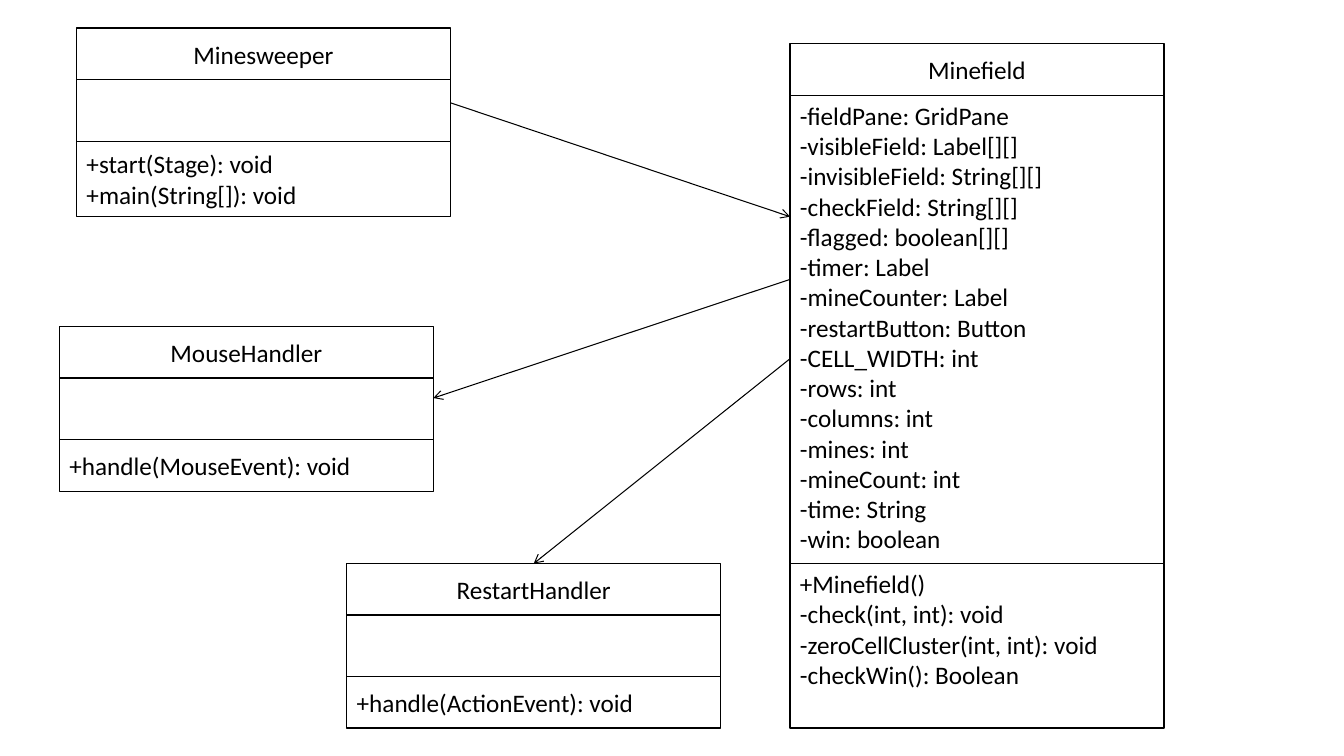
from lxml.etree import SubElement
from pptx import Presentation
from pptx.dml.color import RGBColor
from pptx.enum.shapes import MSO_CONNECTOR as Connector, MSO_SHAPE as Shape
from pptx.enum.text import MSO_ANCHOR as Anchor, PP_ALIGN as Align
from pptx.oxml.ns import qn
from pptx.util import Cm, Pt

COLORS = {"ink": "000000"}
BOX_WIDTH = 9.42
NAME_HEIGHT = 1.3
EMPTY_HEIGHT = 1.55


class ClassDiagram:
    """Draws UML classes and associations on one slide, in centimetres."""

    font_name = "Calibri"
    font_size = Pt(18)
    ink = RGBColor.from_string(COLORS["ink"])

    def __init__(self, slide):
        self.shapes = slide.shapes

    def compartment(self, left, top, height, lines, align=Align.LEFT, anchor=Anchor.MIDDLE):
        box = self.shapes.add_shape(
            Shape.FLOWCHART_PROCESS, Cm(left), Cm(top), Cm(BOX_WIDTH), Cm(height))
        box.shadow.inherit = False
        box.fill.background()
        box.line.color.rgb = self.ink
        box.line.width = Pt(1)
        frame = box.text_frame
        frame.word_wrap = True
        frame.vertical_anchor = anchor
        frame.text = "\n".join(lines)
        for para in frame.paragraphs:
            para.alignment = align
            for span in para.runs:
                span.font.name = self.font_name
                span.font.size = self.font_size
                span.font.color.rgb = self.ink

    def class_box(self, left, top, name, methods, methods_height, attributes=(),
                  attributes_height=EMPTY_HEIGHT, anchor=Anchor.MIDDLE):
        """Stacks the name, attribute and method compartments of one class."""
        attributes_top = top + NAME_HEIGHT
        methods_top = attributes_top + attributes_height
        self.compartment(left, top, NAME_HEIGHT, [name], align=Align.CENTER)
        self.compartment(left, attributes_top, attributes_height, attributes, anchor=anchor)
        self.compartment(left, methods_top, methods_height, methods, anchor=anchor)

    def association(self, start, end):
        """Draws a line with an open arrowhead at its end."""
        line = self.shapes.add_connector(
            Connector.STRAIGHT, *(Cm(value) for value in (*start, *end)))
        line.line.color.rgb = self.ink
        line.line.width = Pt(0.75)
        SubElement(line.line._get_or_add_ln(), qn("a:tailEnd"), type="arrow")
        SubElement(line._element.spPr, qn("a:effectLst"))


def main():
    deck = Presentation()
    deck.slide_width, deck.slide_height = Cm(33.87), Cm(19.05)
    blank_layout = deck.slide_layouts[6]
    diagram = ClassDiagram(deck.slides.add_slide(blank_layout))

    diagram.class_box(
        1.93, 0.71, "Minesweeper",
        ["+start(Stage): void", "+main(String[]): void"], 1.9)
    diagram.class_box(1.5, 8.23, "MouseHandler", ["+handle(MouseEvent): void"], 1.3)
    diagram.class_box(8.74, 14.2, "RestartHandler", ["+handle(ActionEvent): void"], 1.3)
    diagram.class_box(
        19.91, 1.1, "Minefield",
        ["+Minefield()", "-check(int, int): void",
         "-zeroCellCluster(int, int): void", "-checkWin(): Boolean"], 4.15,
        attributes=[
            "-fieldPane: GridPane", "-visibleField: Label[][]",
            "-invisibleField: String[][]", "-checkField: String[][]",
            "-flagged: boolean[][]", "-timer: Label", "-mineCounter: Label",
            "-restartButton: Button", "-CELL_WIDTH: int", "-rows: int",
            "-columns: int", "-mines: int", "-mineCount: int",
            "-time: String", "-win: boolean"],
        attributes_height=11.8, anchor=Anchor.TOP)

    diagram.association((19.91, 7.04), (10.92, 10.03))
    diagram.association((19.91, 9.04), (13.45, 14.2))
    diagram.association((11.35, 2.59), (19.91, 5.46))
    deck.save("out.pptx")


if __name__ == "__main__":
    main()
